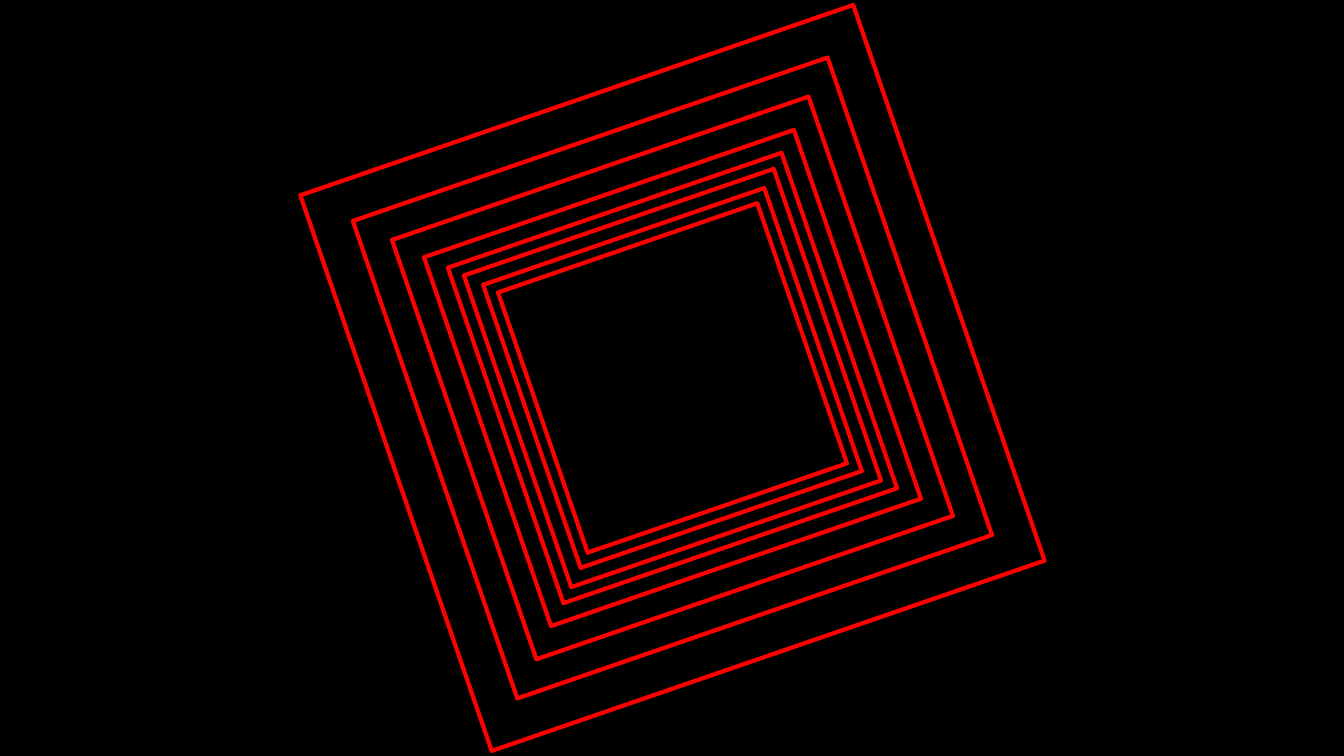
from pptx import Presentation
from pptx.dml.color import RGBColor
from pptx.enum.shapes import MSO_SHAPE as Shape
from pptx.util import Emu, Pt

BLACK = RGBColor(0x00, 0x00, 0x00)
RED = RGBColor(0xFF, 0x00, 0x00)

PAGE_WIDTH, PAGE_HEIGHT = 1333, 750
CENTER_X, CENTER_Y = 667, 375
SQUARE_SIZES = [
    (437, 440), (580, 583), (272, 273), (295, 297),
    (498, 501), (325, 327), (350, 352), (388, 387),
]


def px(length):
    return Emu(round(length * 9144))


class Painter:
    tilt = 341
    line_color = RED
    line_width = Pt(3)

    def __init__(self, page):
        self.page = page

    def background(self, color):
        fill = self.page.background.fill
        fill.solid()
        fill.fore_color.rgb = color

    def group(self):
        return self.page.shapes.add_group_shape()

    def tilted_frame(self, group, center_x, center_y, width, height):
        box = group.shapes.add_shape(
            Shape.RECTANGLE,
            px(center_x - width / 2), px(center_y - height / 2),
            px(width), px(height),
        )
        box.rotation = self.tilt
        box.shadow.inherit = False
        box.fill.background()
        box.line.color.rgb = self.line_color
        box.line.width = self.line_width


def main():
    deck = Presentation()
    deck.slide_width, deck.slide_height = px(PAGE_WIDTH), px(PAGE_HEIGHT)
    painter = Painter(deck.slides.add_slide(deck.slide_layouts[6]))
    painter.background(BLACK)
    tunnel = painter.group()
    for width, height in SQUARE_SIZES:
        painter.tilted_frame(tunnel, CENTER_X, CENTER_Y, width, height)
    deck.save("out.pptx")


if __name__ == "__main__":
    main()
